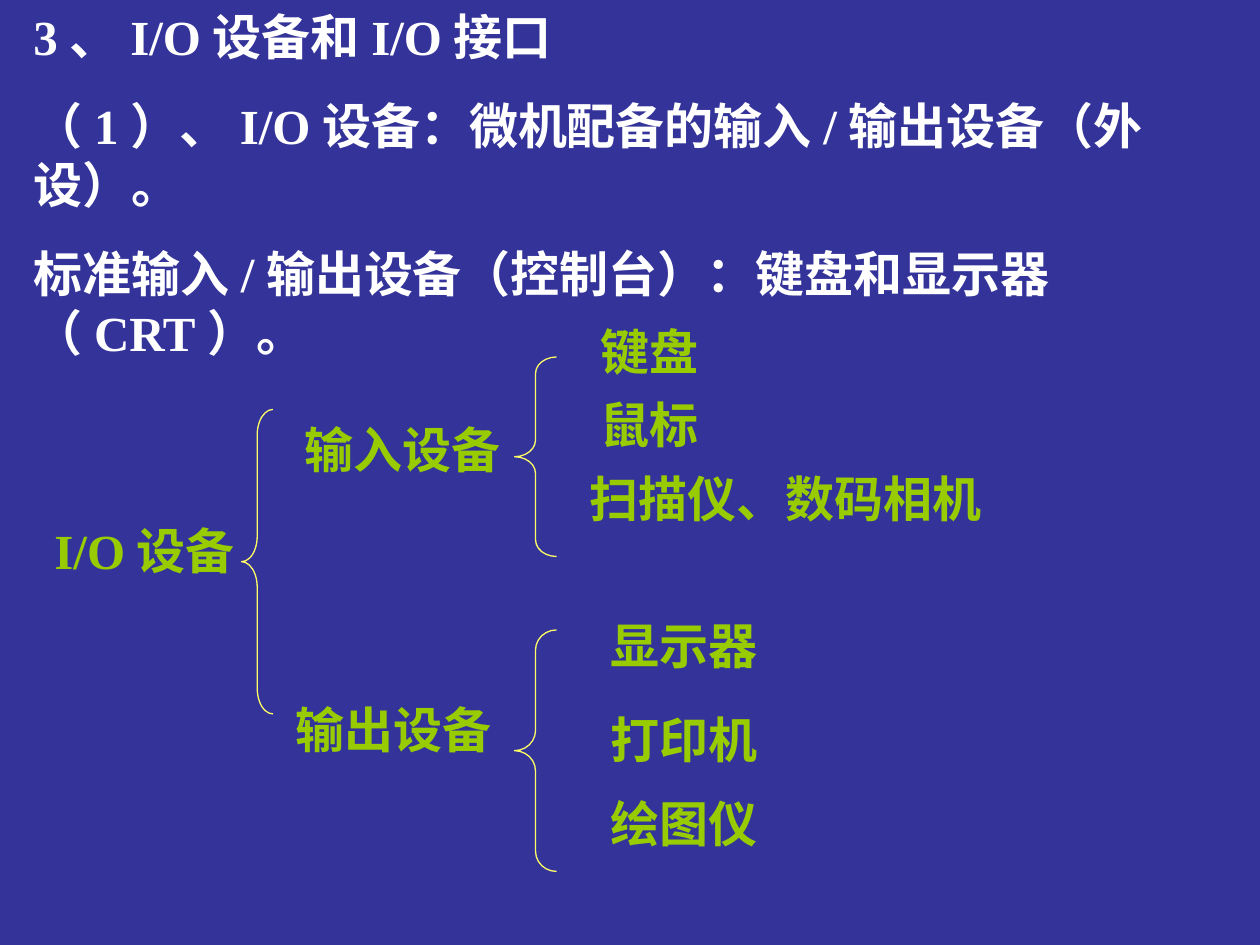
from pptx import Presentation
from pptx.dml.color import RGBColor
from pptx.enum.shapes import MSO_SHAPE
from pptx.enum.text import MSO_AUTO_SIZE
from pptx.util import Pt

LEFT_BRACE = MSO_SHAPE.LEFT_BRACE
FIT_SHAPE = MSO_AUTO_SIZE.SHAPE_TO_FIT_TEXT
BACKGROUND, WHITE, GREEN, YELLOW = "333399", "FFFFFF", "99CC00", "FFFF66"
LABEL_HEIGHT = 41

INTRODUCTION = [
    "3、I/O设备和I/O接口",
    "（1）、I/O设备：微机配备的输入/输出设备（外设）。",
    "标准输入/输出设备（控制台）：键盘和显示器（CRT）。",
]
INPUT_ITEMS = [
    ("键盘", 174, 0, 156),
    ("鼠标", 174, 42, 174),
    ("扫描仪、数码相机", 168, 84, 270),
]
OUTPUT_ITEMS = [
    ("显示器", 180, 0, 114),
    ("打印机", 180, 54, 222),
    ("绘图仪", 180, 102, 150),
]


def color(value):
    """Turn a hex string into a colour."""
    return RGBColor.from_string(value)


def add_text(slide, box, lines, font_color=GREEN, size=28, font="Times New Roman", bold=True):
    """Add a text box with one paragraph per line."""
    shape = slide.shapes.add_textbox(*map(Pt, box))
    frame = shape.text_frame
    frame.word_wrap = True
    frame.auto_size = FIT_SHAPE
    frame.text = "\n".join(lines)
    for paragraph in frame.paragraphs:
        paragraph.space_before = Pt(17.5)
        run_font = paragraph.runs[0].font
        run_font.name = font
        run_font.size = Pt(size)
        run_font.bold = bold
        run_font.color.rgb = color(font_color)


def add_brace(slide, box):
    """Add a thin left brace whose curves take a twelfth of its height."""
    shape = slide.shapes.add_shape(LEFT_BRACE, *map(Pt, box))
    shape.adjustments[0] = box[3] / box[2] / 12
    shape.shadow.inherit = False
    shape.fill.background()
    shape.line.color.rgb = color(YELLOW)
    shape.line.width = Pt(0.75)


def add_branch(slide, box, label, label_box, brace_span, items):
    """Add a device group: its label, brace and items, relative to the box."""
    left, top = box
    label_left, label_top, label_width = label_box
    brace_top, brace_height = brace_span
    add_text(slide, (left + label_left, top + label_top, label_width, LABEL_HEIGHT), [label])
    add_brace(slide, (left + 132, top + brace_top, 24, brace_height))
    for text, item_left, item_top, width in items:
        add_text(slide, (left + item_left, top + item_top, width, LABEL_HEIGHT), [text])


def add_device_tree(slide, box):
    """Add the tree of input and output devices, relative to the box."""
    left, top = box
    add_text(slide, (left, top + 114, 132, LABEL_HEIGHT), ["I/O设备"])
    add_brace(slide, (left + 114, top + 54, 18, 174))
    add_branch(slide, (left + 138, top), "输入设备", (5, 56, 144), (24, 114), INPUT_ITEMS)
    add_branch(slide, (left + 138, top + 168), "输出设备", (0, 48, 132), (12, 138), OUTPUT_ITEMS)


def main():
    """Build and save the presentation."""
    presentation = Presentation()
    presentation.slide_width = Pt(720)
    presentation.slide_height = Pt(540)
    slide = presentation.slides.add_slide(presentation.slide_layouts[6])
    fill = slide.background.fill
    fill.solid()
    fill.fore_color.rgb = color(BACKGROUND)
    add_text(slide, (12, 0, 702, 210), INTRODUCTION, font_color=WHITE)
    add_device_tree(slide, (24, 180))
    presentation.save("out.pptx")


if __name__ == "__main__":
    main()
